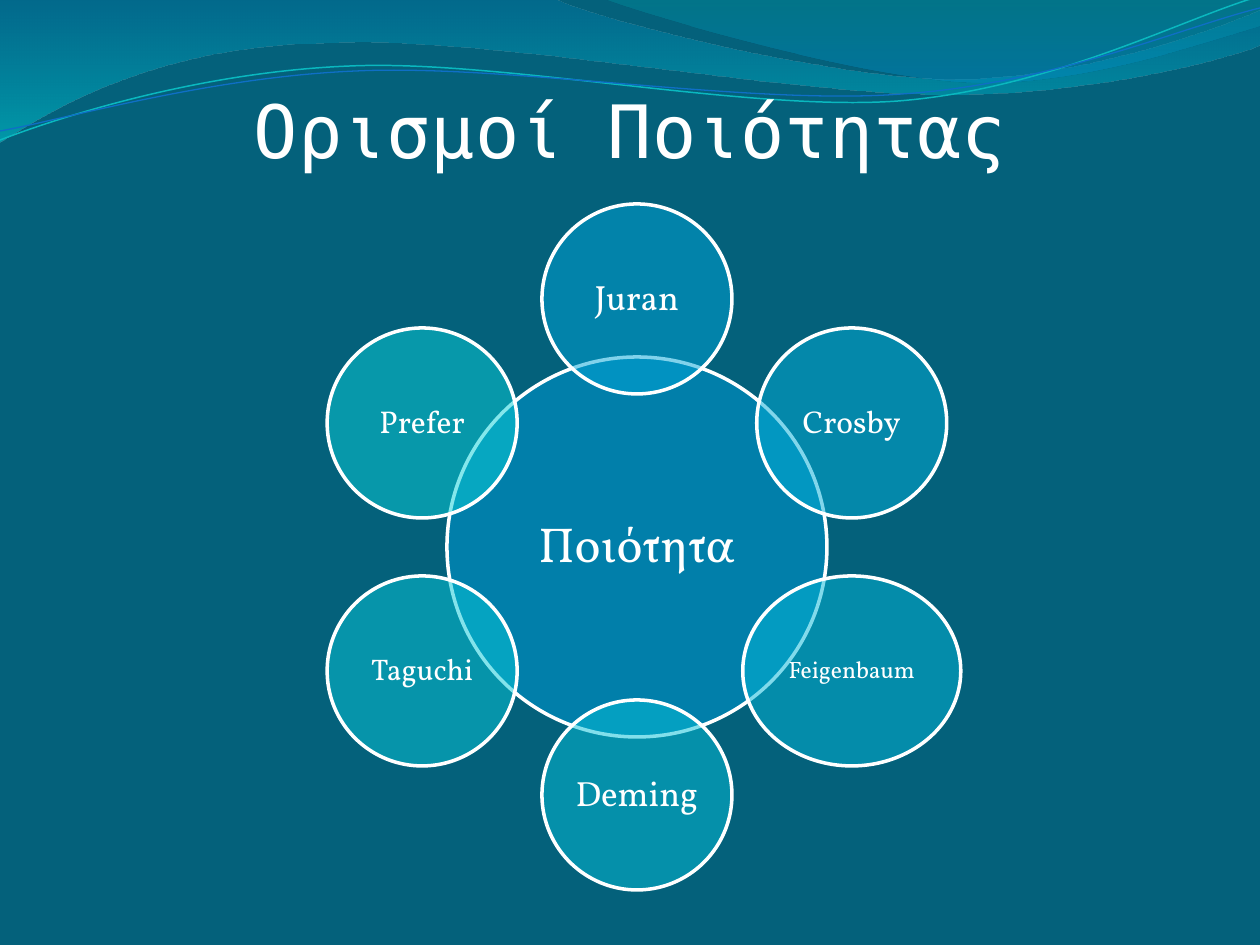
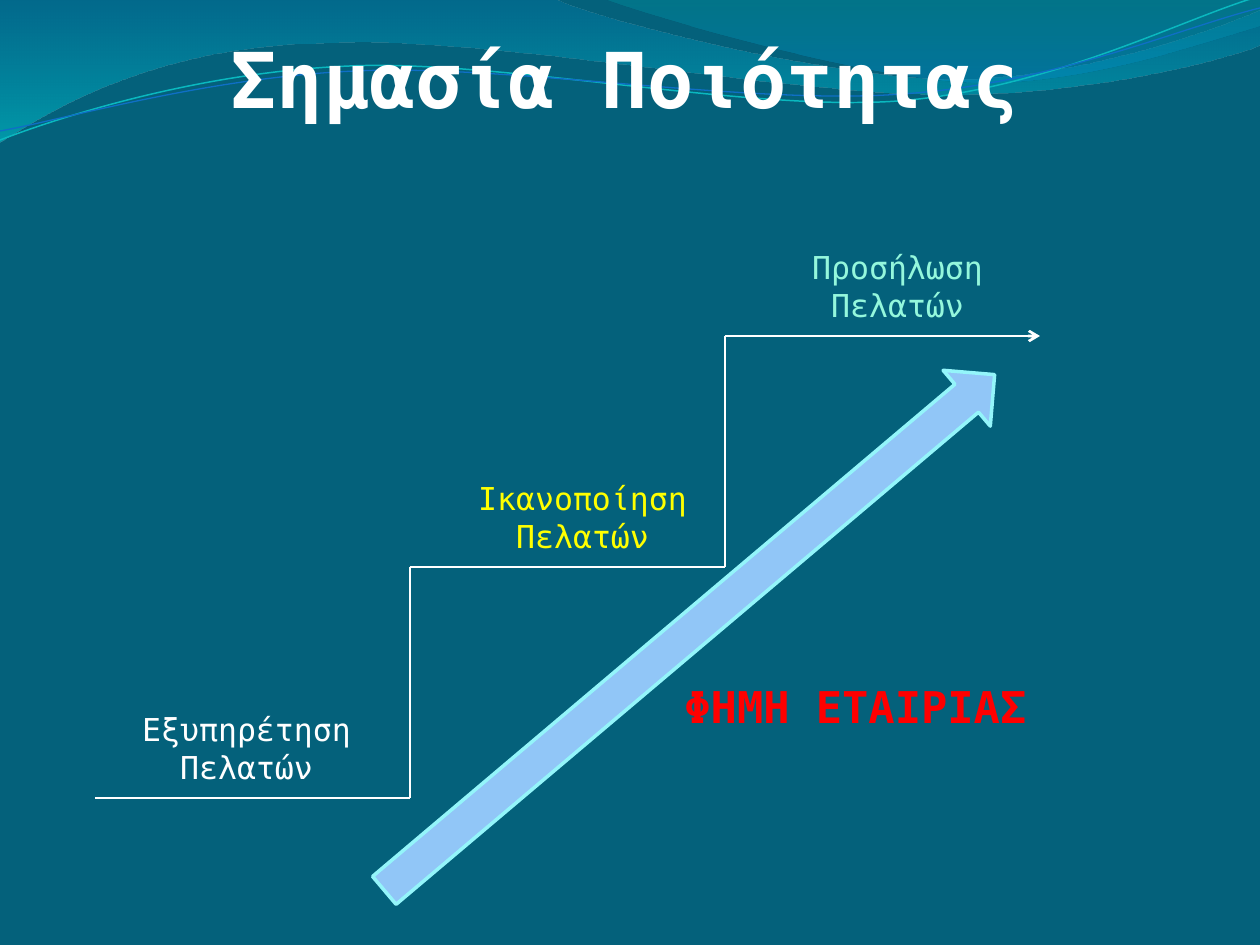
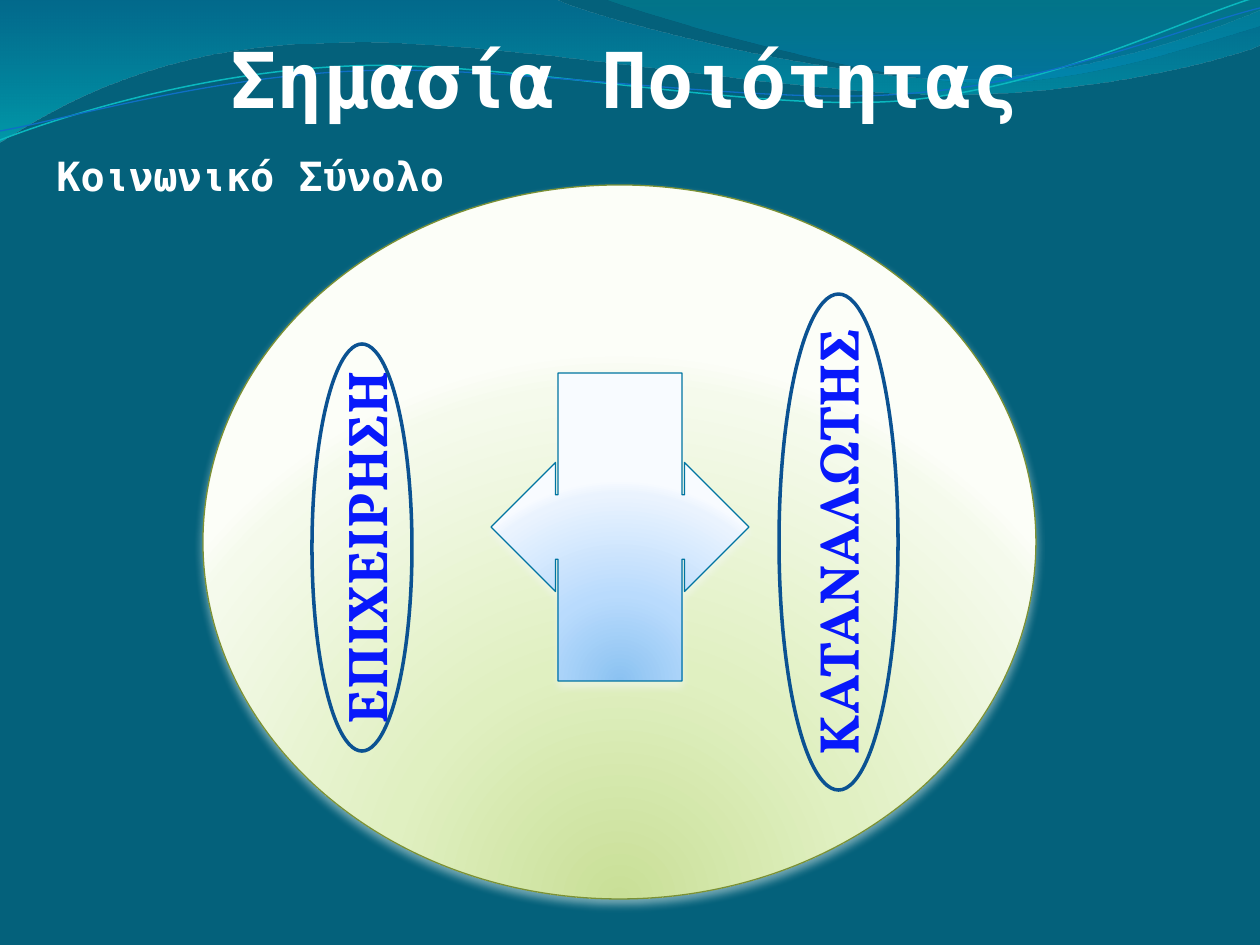
import math
from dataclasses import dataclass

from lxml import etree
from pptx import Presentation
from pptx.dml.color import RGBColor
from pptx.enum.shapes import MSO_CONNECTOR, MSO_SHAPE
from pptx.enum.text import MSO_ANCHOR, MSO_AUTO_SIZE, PP_ALIGN
from pptx.oxml.ns import qn
from pptx.util import Emu, Pt

OVAL = MSO_SHAPE.OVAL
RIGHT_ARROW = MSO_SHAPE.RIGHT_ARROW
ARROW_CALLOUT = MSO_SHAPE.LEFT_RIGHT_ARROW_CALLOUT
STRAIGHT = MSO_CONNECTOR.STRAIGHT
LEFT, CENTER = PP_ALIGN.LEFT, PP_ALIGN.CENTER
TOP, MIDDLE, BOTTOM = MSO_ANCHOR.TOP, MSO_ANCHOR.MIDDLE, MSO_ANCHOR.BOTTOM
NO_AUTOSIZE = MSO_AUTO_SIZE.NONE

EMU_PER_PIXEL = 914400 / 126
WIDTH, HEIGHT = 1260, 945
MONO, SERIF = "DejaVu Sans Mono", "Vollkorn"

COLORS = {
    "background": "04617B",
    "white": "FFFFFF",
    "yellow": "FFFF00",
    "mint": "94F7DC",
    "red": "FF0000",
    "blue": "0819FB",
    "hub": "009DD9",
    "arrow_fill": "91C6F7",
    "arrow_line": "94F5FA",
    "ring": "0B5292",
    "society_line": "7B9135",
    "society_shadow": "FCFEF8",
    "callout_line": "0074A1",
    "callout_shadow": "F8FBFF",
    "wave_teal": "0AB8BF",
    "wave_blue": "0F6FC6",
}

Point = tuple[float, float]
Box = tuple[float, float, float, float]


@dataclass
class Stop:
    """One gradient stop, in percent."""
    position: int
    color: str
    alpha: int = 100


@dataclass
class Wave:
    """A wave: a start point, then one point per line or three per curve."""
    start: Point
    segments: list[list[Point]]
    stops: list[Stop] | None = None
    line_color: str = ""
    line_width: float = 0


@dataclass
class Satellite:
    """A small circle around the hub."""
    name: str
    color: str
    size: float
    width: int = 190


@dataclass
class Step:
    """A stair step with its label."""
    words: tuple[str, str]
    color: str
    label_shift: int


WAVES = [
    Wave((0, 0), [
        [(554, -1)],
        [(600, 21), (837, 79), (955, 79)],
        [(1075, 79), (1207, 33), (1260, 11)],
        [(1261, 45)],
        [(1239, 55), (1096, 96), (940, 94)],
        [(784, 94), (481, 35), (324, 43)],
        [(163, 45), (58, 105), (-1, 142)],
    ], [Stop(0, "0074A1", 45), Stop(100, "00C6CF", 55)]),
    Wave((604, -1), [
        [(641, 14), (859, 78), (969, 82)],
        [(1079, 87), (1211, 40), (1260, 26)],
        [(1260, 0)],
    ], [Stop(0, "00A1A9", 30), Stop(80, "008BBF", 45)]),
    Wave((0, 140), [
        [(60, 117), (199, 72), (349, 66)],
        [(498, 59), (747, 112), (898, 101)],
        [(1050, 89), (1182, 19), (1257, -3)],
    ], line_color="wave_teal", line_width=0.85),
    Wave((0, 131), [
        [(59, 121), (207, 77), (357, 71)],
        [(508, 64), (752, 106), (903, 94)],
        [(1053, 84), (1186, 26), (1260, 8)],
    ], line_color="wave_blue", line_width=0.75),
]

SATELLITES = [
    Satellite("Juran", "02A6D9", 20),
    Satellite("Crosby", "04AFD9", 18),
    Satellite("Feigenbaum", "05B7D9", 13.5, 218),
    Satellite("Deming", "07C0D9", 20),
    Satellite("Taguchi", "09C8D9", 17),
    Satellite("Prefer", "0BD0D9", 18),
]

STEPS = [
    Step(("Εξυπηρέτηση", "Πελατών"), "white", 10),
    Step(("Ικανοποίηση", "Πελατών"), "yellow", 31),
    Step(("Προσήλωση", "Πελατών"), "mint", 31),
]

SOCIETY_STOPS = [Stop(0, "C9DF97"), Stop(43, "E0F0C1"),
                 Stop(93, "F5FAEC"), Stop(100, "FCFEF8")]
CALLOUT_STOPS = [Stop(0, "8BC2F1"), Stop(43, "B9DBFD"),
                 Stop(93, "EAF3FE"), Stop(100, "F8FBFF")]


def px(pixels: float) -> Emu:
    """Turn pixels into EMU."""
    return Emu(round(pixels * EMU_PER_PIXEL))


def rgb(color: str) -> RGBColor:
    """Look up a named colour, or read a hex string."""
    return RGBColor.from_string(COLORS.get(color, color))


def add_child(parent, tag: str, **attributes):
    """Append a drawing element with the given attributes."""
    child = etree.SubElement(parent, qn(tag))
    for name, value in attributes.items():
        child.set(name, str(value))
    return child


def add_color(parent, color: str, alpha: int) -> None:
    """Append a colour with its opacity in percent."""
    entry = add_child(parent, "a:srgbClr", val=COLORS.get(color, color))
    if alpha < 100:
        add_child(entry, "a:alpha", val=alpha * 1000)


def set_line(shape, color: str, width: float) -> None:
    """Set the colour and the width of an outline."""
    shape.line.color.rgb = rgb(color)
    shape.line.width = Pt(width)


def set_solid(shape, color: str, alpha: int = 100) -> None:
    """Fill a shape with one colour."""
    shape.fill.solid()
    shape.fill.fore_color.rgb = rgb(color)
    if alpha < 100:
        entry = shape.element.spPr.find(qn("a:solidFill"))[0]
        add_child(entry, "a:alpha", val=alpha * 1000)


def set_gradient(shape, stops: list[Stop], radial: bool) -> None:
    """Fill a shape downward, or in rings around a point below it."""
    shape.fill.gradient()
    gradient = shape.element.spPr.find(qn("a:gradFill"))
    gradient.clear()
    gradient.set("rotWithShape", "1")
    stop_list = add_child(gradient, "a:gsLst")
    for stop in stops:
        entry = add_child(stop_list, "a:gs", pos=stop.position * 1000)
        add_color(entry, stop.color, stop.alpha)
    if radial:
        rings = add_child(gradient, "a:path", path="circle")
        add_child(rings, "a:fillToRect", l=50000, t=130000, r=50000, b=-30000)
    else:
        add_child(gradient, "a:lin", ang=5400000, scaled=1)


def set_shadow(shape, color: str) -> None:
    """Give a shape a soft shadow below it."""
    effects = shape.element.spPr.find(qn("a:effectLst"))
    shadow = add_child(effects, "a:outerShdw", blurRad=Pt(4.5), dist=Pt(3),
                       dir=5400000, rotWithShape=0)
    add_color(shadow, color, 48)


def add_figure(page, kind, box: Box, line_color: str, line_width: float):
    """Add an unfilled, unshadowed preset shape."""
    shape = page.shapes.add_shape(kind, *map(px, box))
    shape.shadow.inherit = False
    shape.fill.background()
    set_line(shape, line_color, line_width)
    return shape


def write(shape, lines, font: str, size: float, color: str,
          bold: bool = False, align=CENTER, anchor=TOP) -> None:
    """Write one paragraph per line in a shape."""
    frame = shape.text_frame
    frame.word_wrap = True
    frame.auto_size = NO_AUTOSIZE
    frame.vertical_anchor = anchor
    frame.text = "\n".join(lines)
    for para in frame.paragraphs:
        para.alignment = align
        para.font.name = font
        para.font.size = Pt(size)
        para.font.bold = bold
        para.font.color.rgb = rgb(color)


def set_margins(shape, left: int, top: int, right: int, bottom: int) -> None:
    """Set the text margins of a shape."""
    frame = shape.text_frame
    frame.margin_left, frame.margin_top = px(left), px(top)
    frame.margin_right, frame.margin_bottom = px(right), px(bottom)


def add_label(page, box: Box, lines, size: float, color: str,
              bold: bool = False, align=CENTER) -> None:
    """Add a text box in the monospaced font."""
    label = page.shapes.add_textbox(*map(px, box))
    write(label, lines, MONO, size, color, bold, align)


def add_line(page, start: Point, end: Point, arrow: bool = False) -> None:
    """Add a white line, with an arrowhead at its end if asked."""
    line = page.shapes.add_connector(STRAIGHT, *map(px, start + end))
    set_line(line, "white", 1.5)
    properties = line.element.spPr
    add_child(properties, "a:effectLst")
    if arrow:
        add_child(properties.find(qn("a:ln")), "a:tailEnd", type="arrow")


def bend_segments(shape, segments: list[list[Point]]) -> None:
    """Join each three straight pieces of a curve into one cubic curve."""
    outline = next(shape.element.spPr.iter(qn("a:path")))
    pieces = iter(outline.findall(qn("a:lnTo")))
    for segment in segments:
        group = [next(pieces) for _ in segment]
        if len(group) == 3:
            curve = etree.Element(qn("a:cubicBezTo"))
            outline.replace(group[0], curve)
            for piece in group:
                curve.append(piece[0])
            for piece in group[1:]:
                outline.remove(piece)


def draw_wave(page, wave: Wave):
    """Draw a wave as a filled band or an open line."""
    points = [point for segment in wave.segments for point in segment]
    builder = page.shapes.build_freeform(*map(px, wave.start), scale=1.0)
    builder.add_line_segments([(px(x), px(y)) for x, y in points],
                              close=wave.stops is not None)
    shape = builder.convert_to_shape()
    bend_segments(shape, wave.segments)
    shape.shadow.inherit = False
    if wave.stops:
        set_gradient(shape, wave.stops, radial=False)
        shape.line.fill.background()
    else:
        shape.fill.background()
        set_line(shape, wave.line_color, wave.line_width)
    return shape


def dress_master(deck, page) -> None:
    """Put the background and the waves on the slide master."""
    master = deck.slide_master
    master.background.fill.solid()
    master.background.fill.fore_color.rgb = rgb("background")
    for index, wave in enumerate(WAVES):
        element = draw_wave(page, wave).element
        element.nvSpPr.cNvPr.set("id", str(100 + index))
        master.shapes.element.insert(2 + index, element)


def add_page(deck):
    """Add a slide with a title placeholder."""
    return deck.slides.add_slide(deck.slide_layouts.get_by_name("Title Only"))


def place_title(page, text: str, box: Box, size: float, bold: bool,
                anchor) -> None:
    """Move and format the title placeholder."""
    title = page.shapes.title
    title.left, title.top, title.width, title.height = map(px, box)
    write(title, [text], MONO, size, "white", bold, anchor=anchor)


def place_meaning_title(page) -> None:
    """Set the title that two slides share."""
    place_title(page, "Σημασία Ποιότητας", (-5, 25, WIDTH, 106), 44, True, TOP)


def add_circle(page, center: Point, width: int, height: int, color: str,
               text: str, size: float) -> None:
    """Add a translucent circle with a name in it."""
    box = (center[0] - width / 2, center[1] - height / 2, width, height)
    circle = add_figure(page, OVAL, box, "white", 2)
    set_solid(circle, color, 50)
    write(circle, [text], SERIF, size, "white", anchor=MIDDLE)
    set_margins(circle, 3, 3, 3, 3)
    circle.text_frame.word_wrap = False
    circle.text_frame.paragraphs[0].line_spacing = 0.9


def build_definitions(page) -> None:
    """Draw the hub and the circles around it."""
    place_title(page, "Ορισμοί Ποιότητας", (0, 16, WIDTH, 157), 42, False,
                BOTTOM)
    set_margins(page.shapes.title, 0, 6, 0, 0)
    hub_x, hub_y, orbit = 637, 547, 248
    add_circle(page, (hub_x, hub_y), 380, 380, "hub", "Ποιότητα", 28)
    for index, item in enumerate(SATELLITES):
        angle = math.tau * index / len(SATELLITES)
        center = (hub_x + orbit * math.sin(angle),
                  hub_y - orbit * math.cos(angle))
        add_circle(page, center, item.width, 190, item.color, item.name,
                   item.size)


def build_stairs(page) -> None:
    """Draw the stairs and the rising arrow."""
    place_meaning_title(page)
    run, rise = 315, 231
    for index, step in enumerate(STEPS):
        left, level = 95 + index * run, 798 - index * rise
        corner = (left + run, level)
        last = index == len(STEPS) - 1
        add_line(page, (left, level), corner, arrow=last)
        if not last:
            add_line(page, corner, (left + run, level - rise))
        add_label(page, (left + step.label_shift, level - 94, 283, 89),
                  step.words, 18, step.color)
    arrow = add_figure(page, RIGHT_ARROW, (290, 596, 799, 73),
                       "arrow_line", 2)
    set_solid(arrow, "arrow_fill")
    arrow.rotation = 319.8
    add_label(page, (672, 674, 484, 66), ["ΦΗΜΗ ΕΤΑΙΡΙΑΣ"], 25, "red",
              True, LEFT)


def build_society(page) -> None:
    """Draw business and consumer within society."""
    place_meaning_title(page)
    society = add_figure(page, OVAL, (203, 185, 833, 714),
                         "society_line", 0.75)
    set_gradient(society, SOCIETY_STOPS, radial=True)
    set_shadow(society, "society_shadow")
    write(society, ["ΕΠΙΧΕΙΡΗΣΗ ", "ΚΑΤΑΝΑΛΩΤΗΣ"], SERIF, 32, "blue", True)
    society.text_frame.paragraphs[1].space_before = Pt(231)
    society.element.txBody.bodyPr.set("vert", "vert270")

    add_figure(page, OVAL, (312, 344, 100, 407), "ring", 2)
    callout = add_figure(page, ARROW_CALLOUT, (491, 373, 258, 308),
                         "callout_line", 0.75)
    set_gradient(callout, CALLOUT_STOPS, radial=True)
    set_shadow(callout, "callout_shadow")
    add_figure(page, OVAL, (779, 294, 119, 496), "ring", 2)
    add_label(page, (44, 145, 609, 62), ["Κοινωνικό Σύνολο"], 23, "white",
              True, LEFT)


def main() -> None:
    """Build and save the deck."""
    deck = Presentation()
    deck.slide_width, deck.slide_height = px(WIDTH), px(HEIGHT)
    builders = (build_definitions, build_stairs, build_society)
    pages = [add_page(deck) for _ in builders]
    dress_master(deck, pages[0])
    for build, page in zip(builders, pages):
        build(page)
    deck.save("out.pptx")


main()
